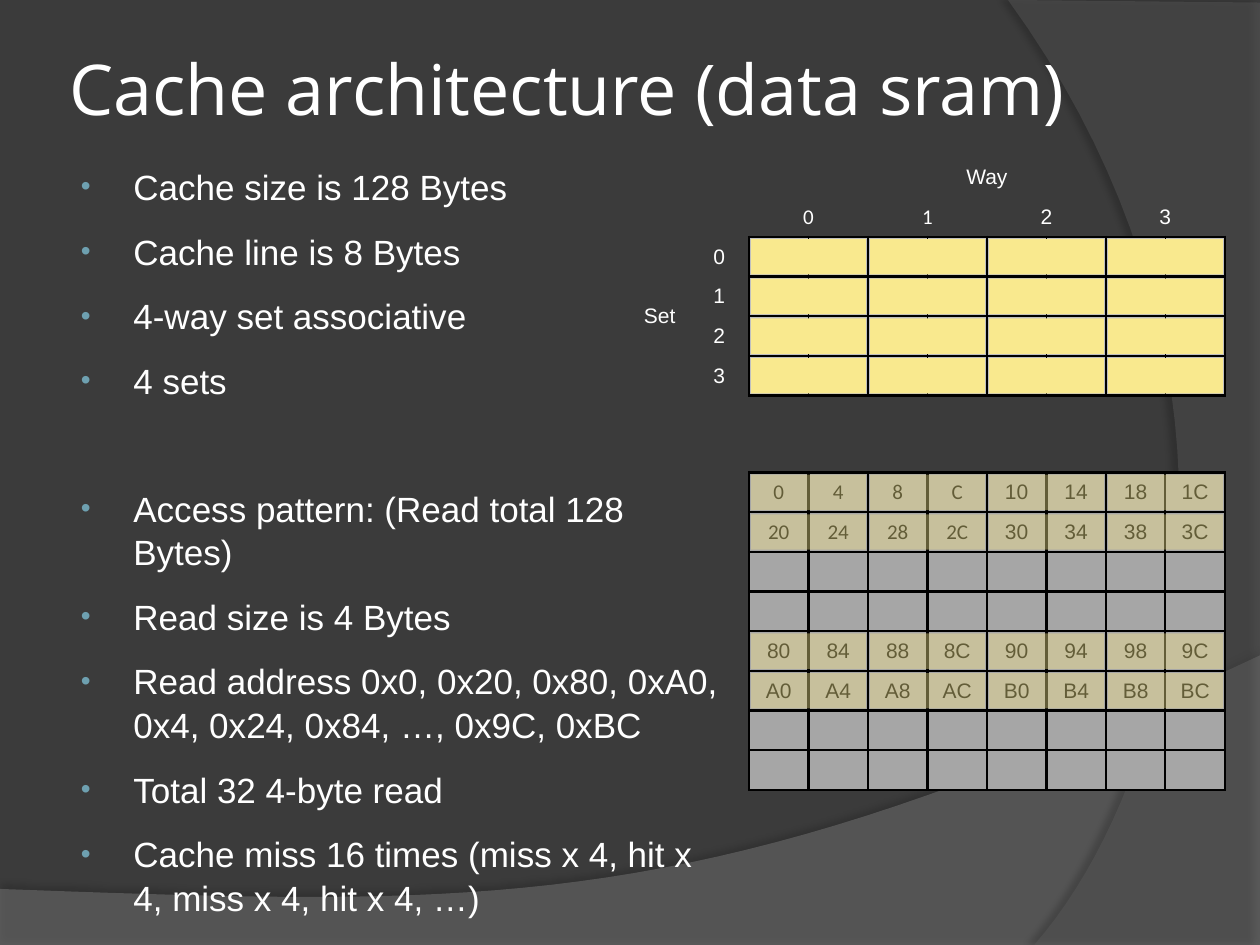
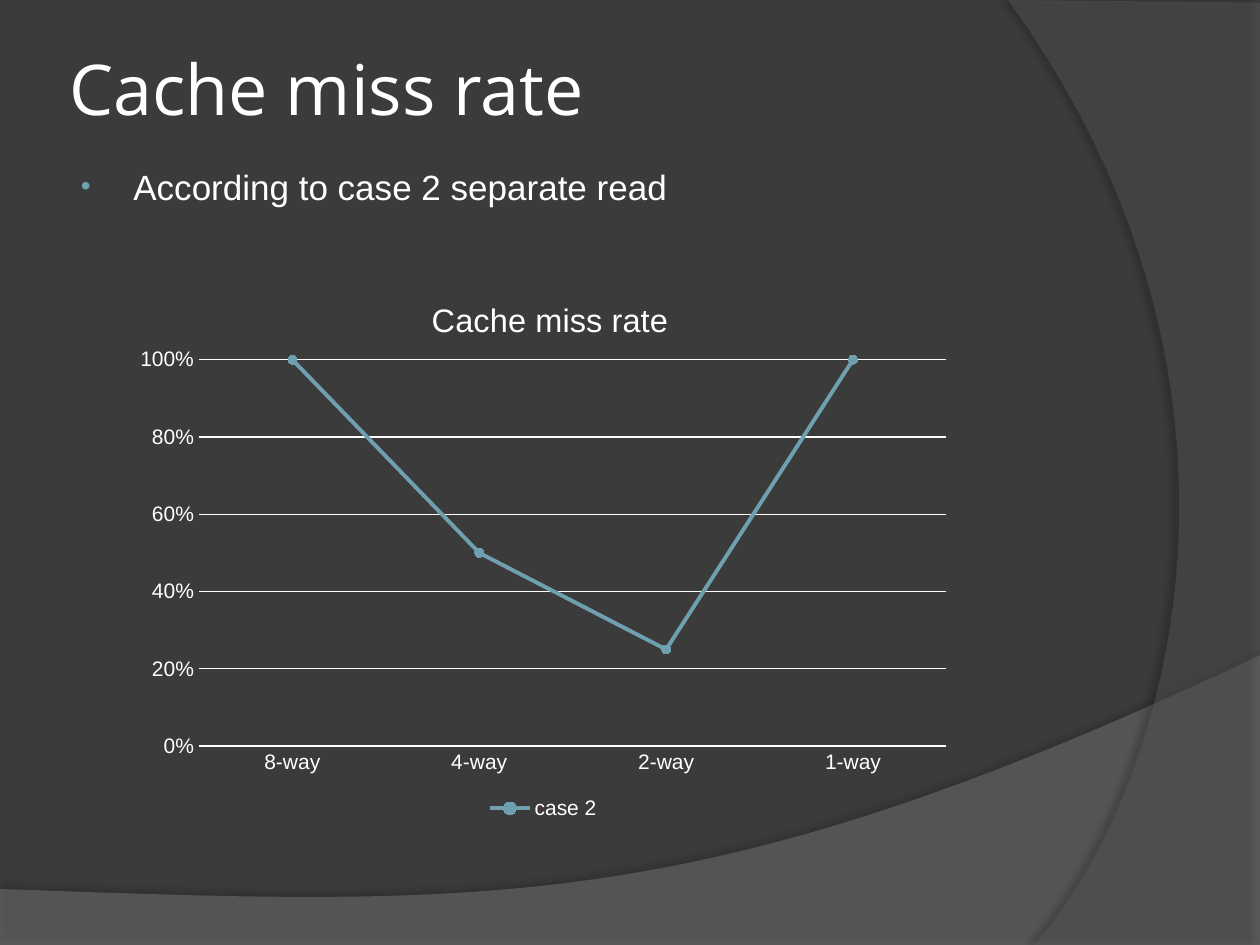
from dataclasses import dataclass

from lxml import etree
from pptx import Presentation
from pptx.chart.data import CategoryChartData
from pptx.dml.color import RGBColor
from pptx.enum.chart import XL_CHART_TYPE, XL_LEGEND_POSITION, XL_MARKER_STYLE, XL_TICK_MARK
from pptx.enum.shapes import MSO_SHAPE
from pptx.enum.text import MSO_ANCHOR, MSO_AUTO_SIZE, PP_ALIGN
from pptx.oxml.ns import qn
from pptx.util import Pt

RECT = MSO_SHAPE.RECTANGLE
MIDDLE, TOP = MSO_ANCHOR.MIDDLE, MSO_ANCHOR.TOP
LEFT, CENTER = PP_ALIGN.LEFT, PP_ALIGN.CENTER
NO_TICK = XL_TICK_MARK.NONE

COLORS = {
    "background": "3B3B3B", "wave": "7F7F7F", "arc": "5E5E5E", "shadow": "000000",
    "text": "FFFFFF", "accent": "6EA0B0", "border": "000000", "address": "000000",
    "cache": "BFBFBF", "memory": "A6A6A6", "line": "F9E98E",
}
HEAD_FONT, BODY_FONT, ALT_FONT = "Open Sans", "Arial", "Calibri"
PLAIN_TABLE = "{2D5ABB26-0587-4C30-8999-92F81FD0307C}"

# Table grid: a cache line covers two columns
COL, ROW, INSET = 34, 22.68, 1.2
THICK, THIN = 1.5, 0.25
SIDES = ("L", "R", "T", "B")


@dataclass
class Curve:
    color: str
    alpha: int
    corners: list       # straight part; the last corner starts the curve
    bend: list          # two control points and the end
    shadow_alpha: int
    shadow_dist: float
    shadow_dir: int


@dataclass
class Bullet:
    text: str
    before: float = 12


CURVES = [
    Curve("wave", 45, [(0, 508), (0, 541), (720, 541), (720, 374.5)],
          [(402, 525), (282, 518), (0, 508)], 35, 3.5, 270),
    Curve("arc", 40, [(720, 1.5), (720, 540), (591, 540)],
          [(673, 446), (733, 216), (576, 0)], 45, 4, 180),
]

CACHE_BULLETS = [
    Bullet("Cache size is 128 Bytes"),
    Bullet("Cache line is 8 Bytes"),
    Bullet("4-way set associative"),
    Bullet("4 sets"),
    Bullet("Access pattern: (Read total 128 Bytes)", before=48),
    Bullet("Read size is 4 Bytes"),
    Bullet("Read address 0x0, 0x20, 0x80, 0xA0, 0x4, 0x24, 0x84, …, 0x9C, 0xBC"),
    Bullet("Total 32 4-byte read"),
    Bullet("Cache miss 16 times (miss x 4, hit x 4, miss x 4, hit x 4, …)"),
]


# Helpers
def rgb(name: str) -> RGBColor:
    return RGBColor.from_string(COLORS[name])


def set_attrs(obj, values: dict) -> None:
    for name, value in values.items():
        setattr(obj, name, value)


def set_font(font, size: float, color: str = "text", name: str = BODY_FONT) -> None:
    set_attrs(font, {"size": Pt(size), "name": name, "bold": False})
    font.color.rgb = rgb(color)


def add_xml(parent, tag: str, **attrs):
    return etree.SubElement(parent, qn(tag), {k: str(v) for k, v in attrs.items()})


def fill_shape(sp, color: str, alpha: int = 100) -> None:
    sp.fill.solid()
    sp.fill.fore_color.rgb = rgb(color)
    sp.line.fill.background()
    sp.shadow.inherit = False
    if alpha < 100:
        clr = sp.element.spPr.find(qn("a:solidFill"))[0]
        add_xml(clr, "a:alpha", val=alpha * 1000)


# Shared backdrop and placeholders
def bezier(start: tuple, bend: list, steps: int = 40) -> list:
    points = []
    for i in range(1, steps + 1):
        t = i / steps
        weights = ((1 - t) ** 3, 3 * t * (1 - t) ** 2, 3 * t * t * (1 - t), t ** 3)
        points.append(tuple(sum(w * p[axis] for w, p in zip(weights, [start, *bend]))
                            for axis in (0, 1)))
    return points


def add_curve(slide, curve: Curve):
    points = curve.corners + bezier(curve.corners[-1], curve.bend)
    (x, y), *rest = [(Pt(px), Pt(py)) for px, py in points]
    builder = slide.shapes.build_freeform(x, y)
    builder.add_line_segments(rest, close=True)
    sp = builder.convert_to_shape()
    fill_shape(sp, curve.color, curve.alpha)
    effects = sp.element.spPr.find(qn("a:effectLst"))
    shadow = add_xml(effects, "a:outerShdw", blurRad=Pt(4), dist=Pt(curve.shadow_dist),
                     dir=curve.shadow_dir * 60000, rotWithShape=0)
    clr = add_xml(shadow, "a:srgbClr", val=COLORS["shadow"])
    add_xml(clr, "a:alpha", val=curve.shadow_alpha * 1000)
    return sp


def add_backdrop(prs, slide) -> None:
    """Draw the curves, then move them to the back of the master."""
    master = prs.slide_master
    master.background.fill.solid()
    master.background.fill.fore_color.rgb = rgb("background")
    for i, curve in enumerate(CURVES):
        master.shapes.element.insert(2 + i, add_curve(slide, curve).element)


def place(sp, left: float, top: float, width: float, height: float) -> None:
    set_attrs(sp, {"left": Pt(left), "top": Pt(top), "width": Pt(width), "height": Pt(height)})


def add_bullet(p, bullet: Bullet) -> None:
    set_attrs(p, {"alignment": LEFT, "space_before": Pt(bullet.before), "line_spacing": 1.04})
    r = p.add_run()
    r.text = bullet.text
    set_font(r.font, 20)
    pPr = p._p.get_or_add_pPr()
    pPr.set("marL", str(Pt(33)))
    pPr.set("indent", str(Pt(-30)))
    add_xml(add_xml(pPr, "a:buClr"), "a:srgbClr", val=COLORS["accent"])
    add_xml(pPr, "a:buSzPct", val=80000)
    add_xml(pPr, "a:buFont", typeface=BODY_FONT)
    add_xml(pPr, "a:buChar", char="•")


def add_slide(prs, title: str, bullets: list, body_width: float):
    slide = prs.slides.add_slide(prs.slide_layouts[1])
    head, body = slide.placeholders
    place(head, 36, 21.6, 648, 57)
    tf = head.text_frame
    set_attrs(tf, {"vertical_anchor": MIDDLE, "auto_size": MSO_AUTO_SIZE.NONE, "word_wrap": True})
    set_attrs(tf, dict.fromkeys(
        ("margin_left", "margin_top", "margin_right", "margin_bottom"), Pt(3.6)))
    p = tf.paragraphs[0]
    p.alignment = LEFT
    r = p.add_run()
    r.text = title
    set_font(r.font, 40, name=HEAD_FONT)

    place(body, 36, 90, body_width, 425.5)
    tf = body.text_frame
    set_attrs(tf, {"vertical_anchor": TOP, "auto_size": MSO_AUTO_SIZE.NONE, "word_wrap": True})
    for i, bullet in enumerate(bullets):
        add_bullet(tf.add_paragraph() if i else tf.paragraphs[0], bullet)
    return slide


# Tables
def add_grid(slide, rows: int, cols: int, left: float, top: float):
    frame = slide.shapes.add_table(rows, cols, Pt(left), Pt(top), Pt(cols * COL), Pt(rows * ROW))
    table = frame.table
    set_attrs(table, {"first_row": False, "horz_banding": False})
    next(frame.element.iter(qn("a:tableStyleId"))).text = PLAIN_TABLE
    for col in table.columns:
        col.width = Pt(COL)
    for row in table.rows:
        row.height = Pt(ROW)
    for cell in table.iter_cells():
        set_attrs(cell, {"margin_left": Pt(3), "margin_right": Pt(3), "margin_top": 0,
                         "margin_bottom": 0, "vertical_anchor": MIDDLE})
        cell.fill.background()
    return table


def fill_cell(cell, color: str) -> None:
    cell.fill.solid()
    cell.fill.fore_color.rgb = rgb(color)


def write_cell(cell, text: str, color: str = "text", font: str = BODY_FONT) -> None:
    p = cell.text_frame.paragraphs[0]
    p.alignment = CENTER
    r = p.add_run()
    r.text = text
    set_font(r.font, 12, color, font)


def set_borders(cell, **widths: float) -> None:
    tcPr = cell._tc.get_or_add_tcPr()
    for i, side in enumerate(s for s in SIDES if s in widths):
        ln = etree.Element(qn(f"a:ln{side}"), w=str(Pt(widths[side])))
        add_xml(add_xml(ln, "a:solidFill"), "a:srgbClr", val=COLORS["border"])
        tcPr.insert(i, ln)


def add_lines(slide, rows: tuple, left: float, top: float, alpha: int = 100) -> None:
    """Lay one cache line over each pair of cells in the given rows."""
    for row in rows:
        for way in range(4):
            sp = slide.shapes.add_shape(
                RECT, Pt(left + way * 2 * COL + INSET), Pt(top + row * ROW + INSET),
                Pt(2 * COL - 2 * INSET), Pt(ROW - 2 * INSET))
            fill_shape(sp, "line", alpha)


def add_cache_table(slide, left: float, top: float) -> None:
    table = add_grid(slide, 6, 10, left, top)
    table.cell(0, 2).merge(table.cell(0, 9))
    write_cell(table.cell(0, 2), "Way")
    table.cell(2, 0).merge(table.cell(5, 0))
    write_cell(table.cell(2, 0), "Set")
    for n in range(4):
        first, second = table.cell(1, 2 + 2 * n), table.cell(1, 3 + 2 * n)
        first.merge(second)
        write_cell(first, str(n), font=ALT_FONT if n < 2 else BODY_FONT)
        for cell in (first, second):
            set_borders(cell, B=THICK)
        write_cell(table.cell(2 + n, 1), str(n))
        set_borders(table.cell(2 + n, 1), R=THICK)
        for col in range(2, 10):
            cell = table.cell(2 + n, col)
            fill_cell(cell, "cache")
            outer, inner = ("R", "L") if col % 2 else ("L", "R")
            set_borders(cell, **{outer: THICK, inner: THIN, "T": THICK, "B": THICK})
    add_lines(slide, range(4), left + 2 * COL, top + 2 * ROW)


def add_memory_table(slide, left: float, top: float) -> None:
    read_rows = (0, 1, 4, 5)
    table = add_grid(slide, 8, 8, left, top)
    for row in range(8):
        for col in range(8):
            cell = table.cell(row, col)
            fill_cell(cell, "memory")
            set_borders(cell, **dict.fromkeys(SIDES, THICK))
            if row in read_rows:
                font = ALT_FONT if row < 2 and col < 4 else BODY_FONT
                write_cell(cell, f"{row * 32 + col * 4:X}", "address", font)
    add_lines(slide, read_rows, left, top, alpha=40)


# Chart
def set_layout(parent, index: int, **values: float) -> None:
    layout = parent.find(qn("c:layout"))
    if layout is None:
        layout = etree.Element(qn("c:layout"))
        parent.insert(index, layout)
    manual = add_xml(layout, "c:manualLayout")
    if "w" in values:
        add_xml(manual, "c:layoutTarget", val="inner")
    for tag in ("xMode", "yMode"):
        add_xml(manual, f"c:{tag}", val="edge")
    for tag, value in values.items():
        add_xml(manual, f"c:{tag}", val=value)


def set_line(line, width: float, color: str) -> None:
    line.width = Pt(width)
    line.color.rgb = rgb(color)


def add_miss_chart(slide) -> None:
    data = CategoryChartData(number_format="0%")
    data.categories = ["8-way", "4-way", "2-way", "1-way"]
    data.add_series("case 2", [1, 0.5, 0.25, 1])
    chart = slide.shapes.add_chart(XL_CHART_TYPE.LINE_MARKERS, Pt(70.5), Pt(151.2),
                                   Pt(480), Pt(320), data).chart
    set_font(chart.font, 10)
    tf = chart.chart_title.text_frame
    tf.text = "Cache miss rate"
    set_font(tf.paragraphs[0].runs[0].font, 18.6)
    set_layout(chart.chart_title.element, 1, x=0.36, y=0.05)
    set_layout(chart.element.find(".//" + qn("c:plotArea")), 0, x=0.09, y=0.17, w=0.89, h=0.69)

    chart.has_legend = True
    set_attrs(chart.legend, {"position": XL_LEGEND_POSITION.BOTTOM, "include_in_layout": False})
    set_font(chart.legend.font, 12)

    cat, val = chart.category_axis, chart.value_axis
    for axis in (cat, val):
        set_attrs(axis, {"major_tick_mark": NO_TICK, "minor_tick_mark": NO_TICK})
        set_font(axis.tick_labels.font, 12)
    set_line(cat.format.line, 0.75, "text")
    val.format.line.fill.background()
    set_attrs(val, {"minimum_scale": 0, "maximum_scale": 1, "major_unit": 0.2,
                    "has_major_gridlines": True})
    set_line(val.major_gridlines.format.line, 0.75, "text")
    set_attrs(val.tick_labels, {"number_format": "0%", "number_format_is_linked": False})

    plot = chart.plots[0]
    plot.vary_by_categories = False
    series = plot.series[0]
    series.smooth = False
    set_line(series.format.line, 2.25, "accent")
    set_attrs(series.marker, {"style": XL_MARKER_STYLE.CIRCLE, "size": 5})
    series.marker.format.fill.solid()
    series.marker.format.fill.fore_color.rgb = rgb("accent")
    set_line(series.marker.format.line, 0.75, "accent")


def main() -> None:
    prs = Presentation()
    set_attrs(prs, {"slide_width": Pt(720), "slide_height": Pt(540)})

    slide = add_slide(prs, "Cache architecture (data sram)", CACHE_BULLETS, 388)
    add_backdrop(prs, slide)
    add_cache_table(slide, 360, 90)
    add_memory_table(slide, 428, 270)

    slide = add_slide(prs, "Cache miss rate", [Bullet("According to case 2 separate read")], 648)
    add_miss_chart(slide)
    prs.save("out.pptx")


if __name__ == "__main__":
    main()
